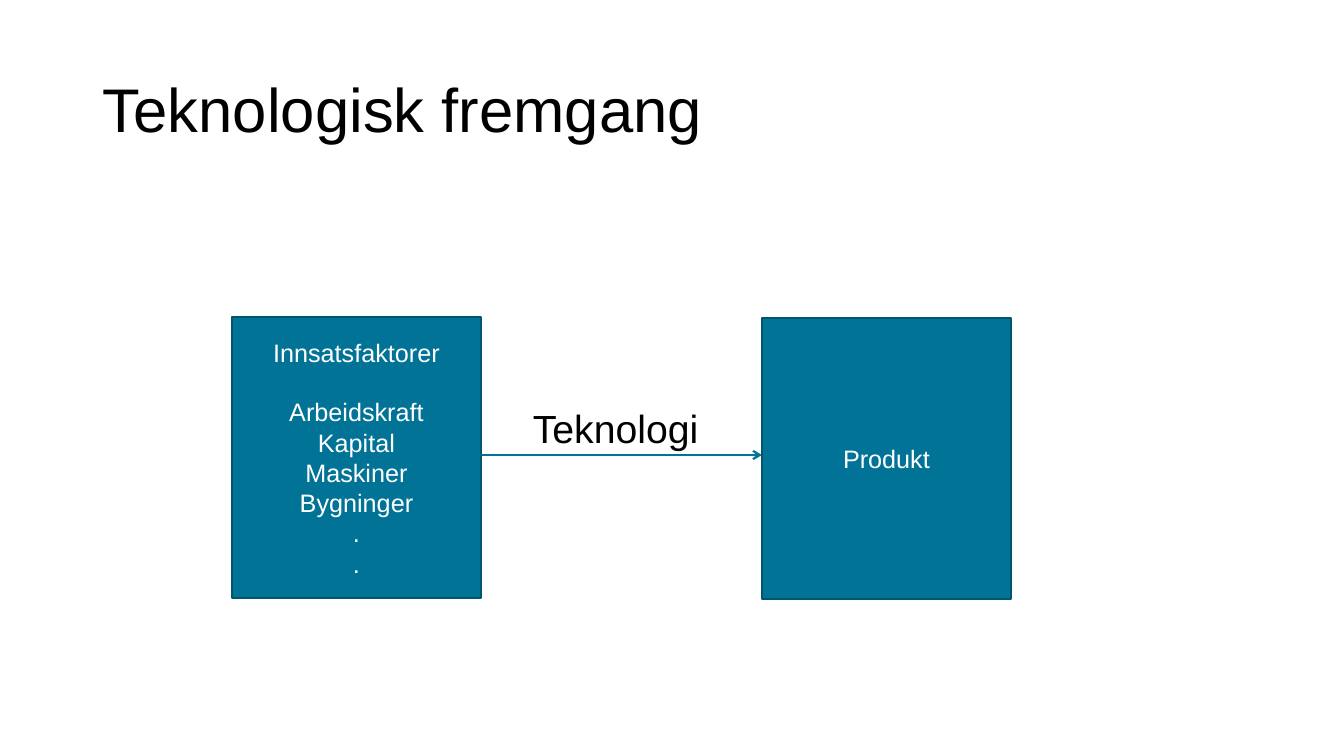
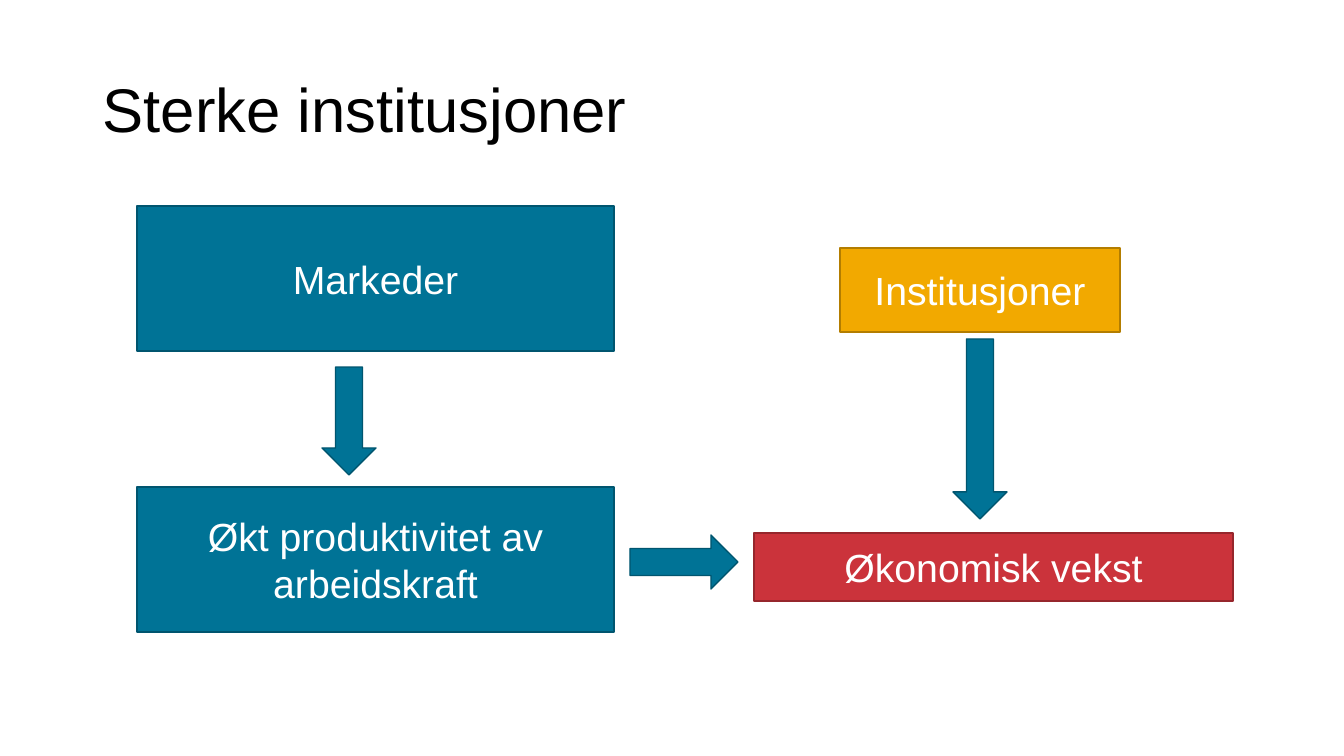
from lxml import etree
from pptx import Presentation
from pptx.dml.color import RGBColor
from pptx.enum.shapes import MSO_CONNECTOR, MSO_SHAPE
from pptx.enum.text import MSO_ANCHOR, PP_ALIGN
from pptx.oxml.ns import qn
from pptx.util import Pt

RECT = MSO_SHAPE.RECTANGLE
STEP = MSO_SHAPE.FLOWCHART_PROCESS
DOWN = MSO_SHAPE.DOWN_ARROW
RIGHT = MSO_SHAPE.RIGHT_ARROW
LINE = MSO_CONNECTOR.STRAIGHT
MIDDLE = MSO_ANCHOR.MIDDLE
CENTER = PP_ALIGN.CENTER

BLACK = RGBColor(0x00, 0x00, 0x00)
WHITE = RGBColor(0xFF, 0xFF, 0xFF)
BLUE = (RGBColor(0x00, 0x73, 0x96), RGBColor(0x00, 0x55, 0x6F))
RED = (RGBColor(0xCB, 0x33, 0x3B), RGBColor(0x96, 0x26, 0x2C))
GOLD = (RGBColor(0xF2, 0xA9, 0x00), RGBColor(0xB3, 0x7D, 0x00))
FONT = "Arial"
PX = 12192000 / 1344


def write(shape, lines, size, color, align=None):
    frame = shape.text_frame
    frame.word_wrap = True
    frame.text = "\n".join(lines)
    for para in frame.paragraphs:
        para.alignment = align
        para.font.name = FONT
        para.font.size = Pt(size)
        para.font.color.rgb = color
    return frame


def block(slide, kind, area, tone, lines=(), size=28):
    shape = slide.shapes.add_shape(kind, *[int(n * PX) for n in area])
    shape.shadow.inherit = False
    fill, edge = tone
    shape.fill.solid()
    shape.fill.fore_color.rgb = fill
    shape.line.color.rgb = edge
    shape.line.width = Pt(1)
    if lines:
        frame = write(shape, lines, size, WHITE, CENTER)
        frame.vertical_anchor = MIDDLE
    return shape


deck = Presentation()
deck.slide_width = int(1344 * PX)
deck.slide_height = int(756 * PX)

slides = []
for title in ["Teknologisk fremgang", "Sterke institusjoner"]:
    slide = deck.slides.add_slide(deck.slide_layouts[6])
    head = slide.shapes.add_textbox(*[int(n * PX) for n in (93, 40, 1159, 146)])
    frame = write(head, [title], 44, BLACK)
    frame.vertical_anchor = MIDDLE
    frame.paragraphs[0].line_spacing = 0.9
    slides.append(slide)
tech, growth = slides

factors = ["Innsatsfaktorer", "Arbeidskraft", "Kapital", "Maskiner", "Bygninger", ".", "."]
inputs = block(tech, RECT, (232, 317, 249, 281), BLUE, factors, 18)
inputs.text_frame.paragraphs[1].space_before = Pt(21)

arrow = tech.shapes.add_connector(LINE, *[int(n * PX) for n in (482, 455, 762, 455)])
arrow.line.color.rgb = BLUE[0]
arrow.line.width = Pt(1.5)
etree.SubElement(arrow.line._get_or_add_ln(), qn("a:tailEnd"), type="arrow")
etree.SubElement(arrow._element.spPr, qn("a:effectLst"))

block(tech, RECT, (762, 318, 249, 281), BLUE, ["Produkt"], 18)
label = tech.shapes.add_textbox(*[int(n * PX) for n in (523, 399, 202, 57)])
write(label, ["Teknologi"], 28, BLACK)

steps = [
    ((137, 206, 477, 145), BLUE, "Markeder"),
    ((137, 487, 477, 145), BLUE, "Økt produktivitet av arbeidskraft"),
    ((754, 533, 479, 68), RED, "Økonomisk vekst"),
    ((840, 248, 280, 84), GOLD, "Institusjoner"),
]
for area, tone, text in steps:
    block(growth, STEP, area, tone, [text])

arrows = [
    (DOWN, (322, 367, 54, 108)),
    (RIGHT, (630, 535, 108, 54)),
    (DOWN, (953, 339, 54, 180)),
]
for kind, area in arrows:
    block(growth, kind, area, BLUE)

deck.save("out.pptx")
